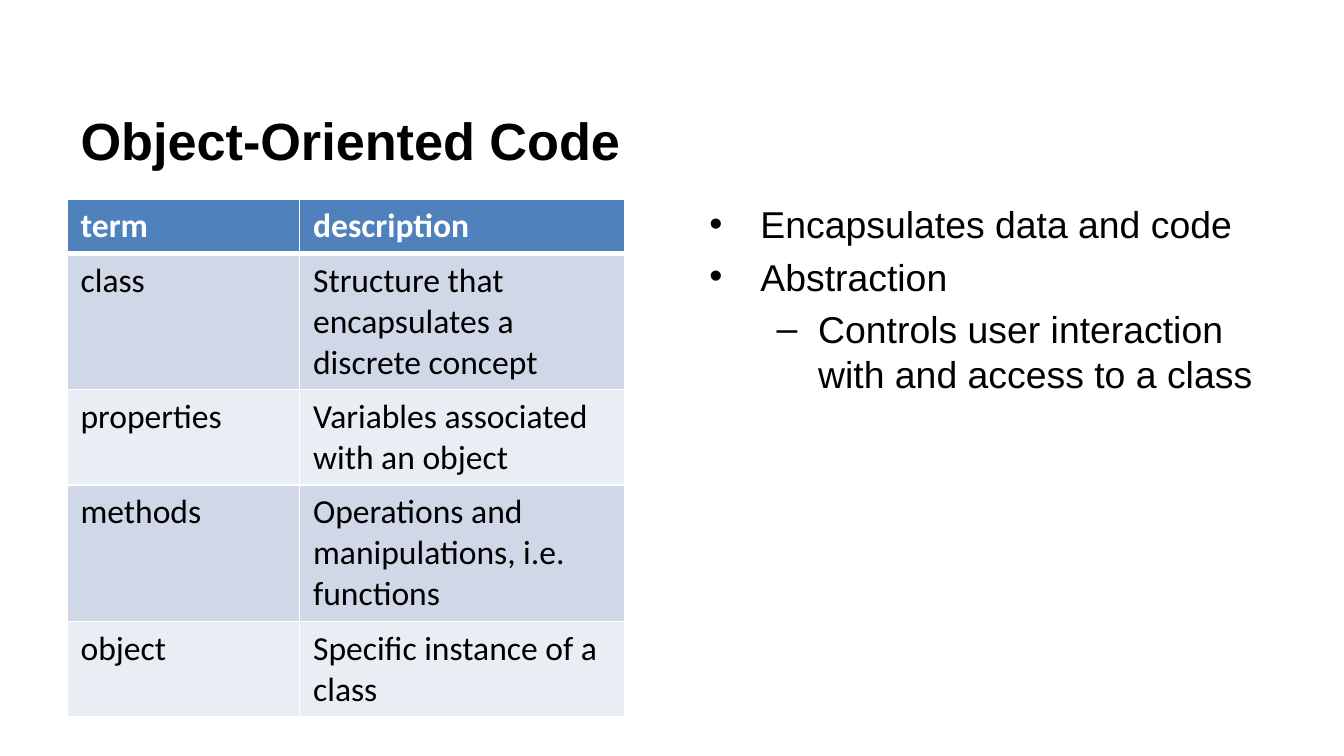
import pptx
import pptx.dml.color
import pptx.enum.text
import pptx.oxml
import pptx.oxml.ns
import pptx.util
from pptx.util import Inches

COLORS = {
    "text": "000000",
    "white": "FFFFFF",
    "header": "4F81BD",
    "odd_row": "D0D8E8",
    "even_row": "E9EDF4",
}
TERMS = [
    # term, description, lines the description takes
    ("term", "description", 1),
    ("class", "Structure that encapsulates a discrete concept", 3),
    ("properties", "Variables associated with an object", 2),
    ("methods", "Operations and manipulations, i.e. functions", 3),
    ("object", "Specific instance of a class", 2),
]
POINTS = [
    # level, text
    (0, "Encapsulates data and code"),
    (0, "Abstraction"),
    (1, "Controls user interaction with and access to a class"),
]
# bullet, left margin, hanging indent for each level
BULLETS = [("•", 0.38, 0.38), ("–", 0.81, 0.31)]


def rgb(name):
    return pptx.dml.color.RGBColor.from_string(COLORS[name])


def add_xml(parent, tag, content="", **attributes):
    """Append an a:tag element, with optional inner XML, to parent."""
    values = "".join(f' {key}="{value}"' for key, value in attributes.items())
    namespace = pptx.oxml.ns.nsdecls("a")
    parent.append(pptx.oxml.parse_xml(
        f"<a:{tag} {namespace}{values}>{content}</a:{tag}>"))


class SlideBuilder:
    heading_font = "Arial"
    table_font = "Calibri"

    def __init__(self, presentation):
        self.slide = presentation.slides.add_slide(presentation.slide_layouts[5])

    def style(self, paragraph, font_name, size, color="text", bold=False):
        font = paragraph.font
        font.name = font_name
        font.size = pptx.util.Pt(size)
        font.bold = bold
        font.color.rgb = rgb(color)

    def title(self, text, left, top, width, height):
        title = self.slide.shapes.title
        title.left, title.top = Inches(left), Inches(top)
        title.width, title.height = Inches(width), Inches(height)
        frame = title.text_frame
        frame.text = text
        frame.vertical_anchor = pptx.enum.text.MSO_ANCHOR.MIDDLE
        paragraph = frame.paragraphs[0]
        paragraph.alignment = pptx.enum.text.PP_ALIGN.LEFT
        self.style(paragraph, self.heading_font, 28, bold=True)

    def bullet_list(self, points, left, top, width, height):
        box = self.slide.shapes.add_textbox(
            Inches(left), Inches(top), Inches(width), Inches(height))
        frame = box.text_frame
        frame.word_wrap = True
        for index, (level, text) in enumerate(points):
            paragraph = frame.paragraphs[0] if index == 0 else frame.add_paragraph()
            paragraph.text = text
            paragraph.level = level
            paragraph.space_before = pptx.util.Pt(4 if index else 0)
            bullet, margin, hanging = BULLETS[level]
            properties = paragraph._p.get_or_add_pPr()
            properties.set("marL", str(Inches(margin)))
            properties.set("indent", str(-Inches(hanging)))
            add_xml(properties, "buFont", typeface=self.heading_font)
            add_xml(properties, "buChar", char=bullet)
            self.style(paragraph, self.heading_font, 20)

    def cell_borders(self, cell, top, bottom):
        """Draw white borders; top and bottom are widths in points."""
        properties = cell._tc.get_or_add_tcPr()
        color = f'<a:solidFill><a:srgbClr val="{COLORS["white"]}"/></a:solidFill>'
        for tag, width in (("lnL", 1), ("lnR", 1), ("lnT", top), ("lnB", bottom)):
            add_xml(properties, tag, color, w=pptx.util.Pt(width))

    def table(self, rows, left, top, column_widths):
        heights = [0.1 + 0.305 * lines for *_, lines in rows]
        frame = self.slide.shapes.add_table(
            len(rows), len(column_widths), Inches(left), Inches(top),
            Inches(sum(column_widths)), Inches(sum(heights)))
        table = frame.table
        for column, width in zip(table.columns, column_widths):
            column.width = Inches(width)
        for index, (*texts, _) in enumerate(rows):
            table.rows[index].height = Inches(heights[index])
            header = index == 0
            fill = "header" if header else "odd_row" if index % 2 else "even_row"
            for cell, text in zip(table.rows[index].cells, texts):
                cell.text = text
                self.style(cell.text_frame.paragraphs[0], self.table_font, 18,
                           "white" if header else "text", header)
                self.cell_borders(cell, 3 if index == 1 else 1, 3 if header else 1)
                cell.fill.solid()
                cell.fill.fore_color.rgb = rgb(fill)


def main():
    presentation = pptx.Presentation()
    presentation.slide_width = Inches(10)
    presentation.slide_height = Inches(10 * 9 / 16)
    builder = SlideBuilder(presentation)
    builder.title("Object-Oriented Code", 0.5, 0.6, 9, 0.88)
    builder.bullet_list(POINTS, 5.18, 1.45, 4.5, 1.66)
    builder.table(TERMS, 0.5, 1.48, [1.73, 2.42])
    presentation.save("out.pptx")


if __name__ == "__main__":
    main()
